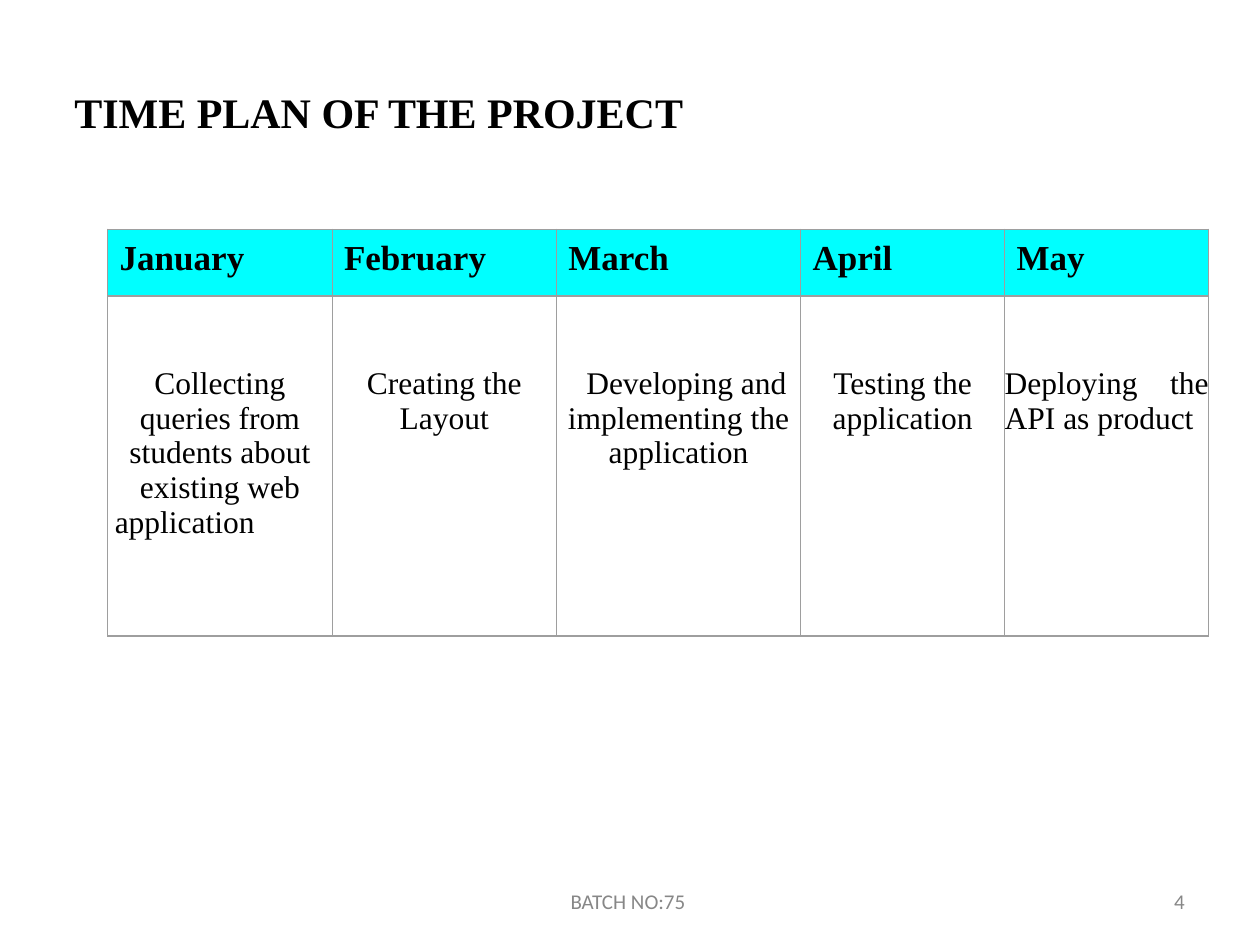
"""Build a slide with the month-by-month time plan of a project."""
import pptx
import pptx.dml.color
import pptx.enum.text
import pptx.oxml
import pptx.oxml.ns
import pptx.util
from pptx.util import Pt

ALIGN = pptx.enum.text.PP_ALIGN
SERIF = "Times New Roman"


def style(paragraph, name, size, color, bold=False, align=ALIGN.LEFT):
    paragraph.font.name = name
    paragraph.font.size = Pt(size)
    paragraph.font.bold = bold
    paragraph.font.color.rgb = pptx.dml.color.RGBColor.from_string(color)
    paragraph.alignment = align


def format_cell(cell, margin_top, fill=None):
    cell.margin_left = cell.margin_right = cell.margin_bottom = 0
    cell.margin_top = Pt(margin_top)
    properties = cell._tc.get_or_add_tcPr()
    for side in ("lnL", "lnR", "lnT", "lnB"):
        properties.append(pptx.oxml.parse_xml(
            f'<a:{side} {pptx.oxml.ns.nsdecls("a")} w="{Pt(0.75)}"><a:solidFill>'
            f'<a:srgbClr val="9E9E9E"/></a:solidFill></a:{side}>'))
    if fill:
        cell.fill.solid()
        cell.fill.fore_color.rgb = pptx.dml.color.RGBColor.from_string(fill)
    else:
        cell.fill.background()


presentation = pptx.Presentation()
presentation.slide_width, presentation.slide_height = Pt(720), Pt(540)
slide = presentation.slides.add_slide(presentation.slide_layouts[5])

title = slide.shapes.title
title.left, title.top, title.width, title.height = Pt(42.5), Pt(48.2), Pt(360), Pt(31)
frame = title.text_frame
frame.margin_left = frame.margin_right = frame.margin_bottom = 0
frame.margin_top = Pt(1)
frame.vertical_anchor = pptx.enum.text.MSO_ANCHOR.TOP
frame.auto_size = pptx.enum.text.MSO_AUTO_SIZE.NONE
frame.text = "TIME PLAN OF THE PROJECT"
frame.paragraphs[0].space_before = Pt(1)
style(frame.paragraphs[0], SERIF, 24, "000000", True)

plan = [
    ("January", 128.2, ["Collecting queries from students about existing web", "application"], ALIGN.CENTER),
    ("February", 128.2, ["Creating the Layout"], ALIGN.CENTER),
    ("March", 139.6, ["Developing and implementing the application"], ALIGN.CENTER),
    ("April", 116.6, ["Testing the application"], ALIGN.CENTER),
    ("May", 116.6, ["Deploying the API as product"], ALIGN.JUSTIFY),
]
width = sum(column[1] for column in plan)
table = slide.shapes.add_table(2, len(plan), Pt(61.6), Pt(131), Pt(width), Pt(182.5)).table
table.rows[0].height, table.rows[1].height = Pt(38.2), Pt(194.3)
for index, (month, column_width, tasks, align) in enumerate(plan):
    table.columns[index].width = Pt(column_width)
    header, body = table.cell(0, index), table.cell(1, index)
    format_cell(header, 6, "00FFFF")
    header.text = month
    heading = header.text_frame.paragraphs[0]
    heading._p.get_or_add_pPr().set("marL", str(Pt(6.8)))
    style(heading, SERIF, 20, "000000", True)
    format_cell(body, 40)
    body.text = "\n".join(tasks)
    for paragraph in body.text_frame.paragraphs:
        style(paragraph, SERIF, 18, "000000", align=align)
    if month == "March":
        body.text_frame.paragraphs[0]._p.get_or_add_pPr().set("indent", str(Pt(9)))
    for paragraph in body.text_frame.paragraphs[1:]:
        paragraph.alignment = ALIGN.LEFT
        paragraph._p.get_or_add_pPr().set("marL", str(Pt(4)))

for text, left, box_width in (("BATCH NO:75", 326, 76), ("4", 671, 10)):
    frame = slide.shapes.add_textbox(Pt(left), Pt(509.8), Pt(box_width), Pt(12.4)).text_frame
    frame.margin_left = frame.margin_right = frame.margin_top = frame.margin_bottom = 0
    frame.word_wrap = True
    frame.text = text
    frame.paragraphs[0].line_spacing = Pt(12.4)
    style(frame.paragraphs[0], "Calibri", 12, "878787")

presentation.save("out.pptx")
